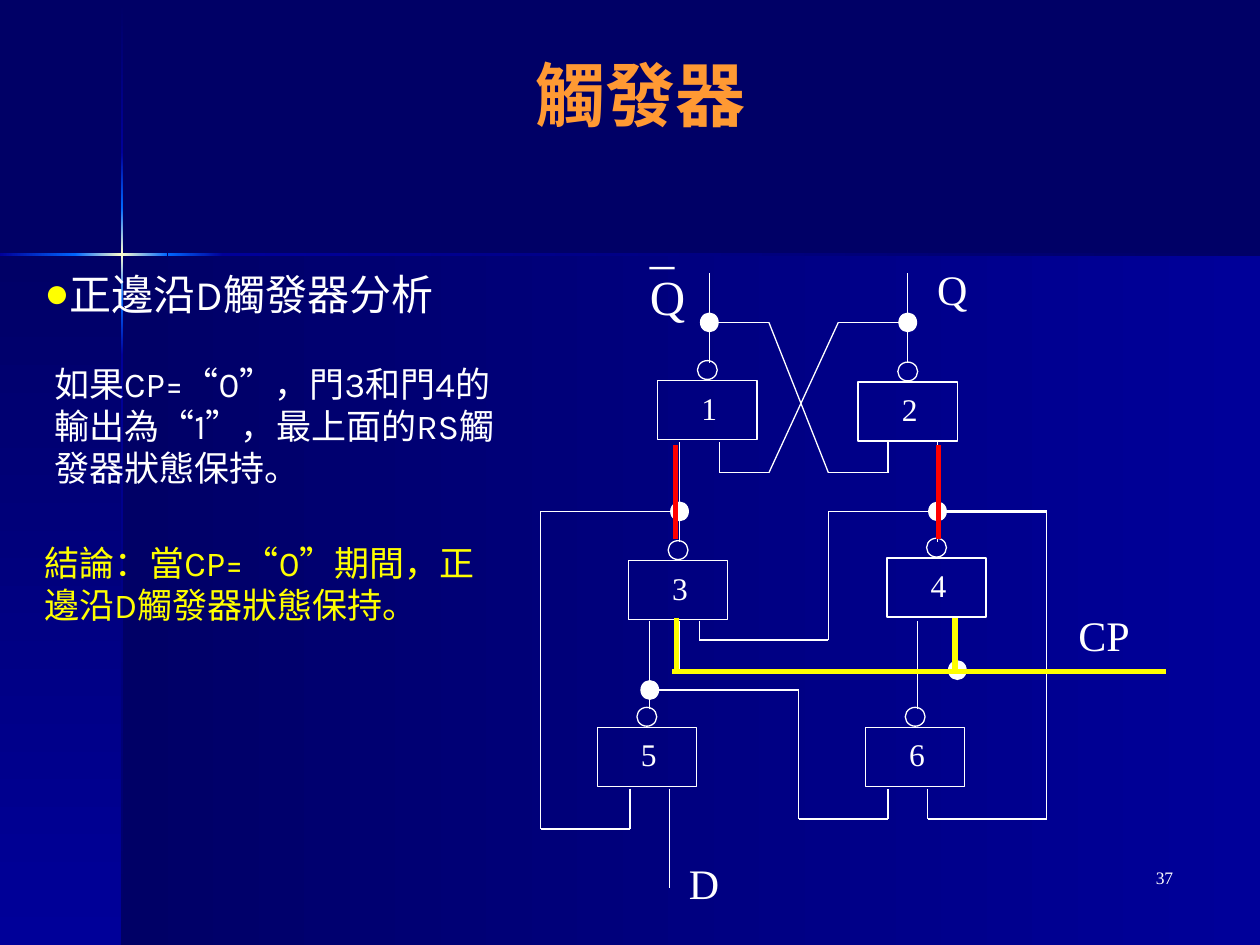
from copy import deepcopy
from itertools import pairwise

from pptx import Presentation
from pptx.dml.color import RGBColor
from pptx.enum.shapes import MSO_CONNECTOR as CONN, MSO_SHAPE as SHAPE
from pptx.enum.text import MSO_ANCHOR as ANCHOR, MSO_AUTO_SIZE as AUTO, PP_ALIGN as ALIGN
from pptx.oxml import parse_xml
from pptx.oxml.ns import nsdecls
from pptx.util import Cm, Pt

SERIF, SANS, QUOTE = "Times New Roman", "Karla", "Arial"
WHITE, YELLOW, RED, ORANGE = "FFFFFF", "FFFF00", "FF0000", "FF9933"
NAVY, BLUE, BRIGHT, CREAM = "000066", "000099", "0066FF", "FFFFCC"
rgb = RGBColor.from_string


def add_run(p, text, size, font, color):
    r = p.add_run()
    r.text = text
    r.font.size, r.font.name = Pt(size), font
    r.font.color.rgb = rgb(color)
    return r


def add_box(x, y, w, h, wrap=True):
    tf = s.shapes.add_textbox(Cm(x), Cm(y), Cm(w), Cm(h)).text_frame
    tf.word_wrap = wrap
    return tf


prs = Presentation()
prs.slide_width, prs.slide_height = Cm(25.4), Cm(19.05)
s = prs.slides.add_slide(prs.slide_layouts[1])
s.background.fill.solid()
s.background.fill.fore_color.rgb = rgb(NAVY)

bands = [
    (2.46, 5.13, 22.94, 13.92, 0, [NAVY, BLUE]),
    (0, 5.13, 2.46, 13.92, 270, [NAVY, BLUE]),
    (2.44, 0.03, 0.05, 3.07, 270, [NAVY, BLUE]),
    (2.44, 7.16, 0.05, 11.89, 270, [BLUE, NAVY]),
    (4.5, 5.11, 20.9, 0.05, 0, [BLUE, NAVY]),
    (2.44, 6.05, 0.05, 1.12, 270, [BRIGHT, BLUE]),
    (2.44, 3.07, 0.05, 1.12, 270, [BLUE, BRIGHT]),
    (2.44, 4.19, 0.05, 1.85, 270, [BRIGHT, CREAM, BRIGHT]),
    (0, 5.11, 1.55, 0.05, 0, [BLUE, BRIGHT]),
    (3.38, 5.11, 1.12, 0.05, 0, [BRIGHT, BLUE]),
    (1.52, 5.11, 1.85, 0.05, 0, [BRIGHT, CREAM, BRIGHT]),
]
for x, y, w, h, angle, colors in bands:
    sp = s.shapes.add_shape(SHAPE.RECTANGLE, Cm(x), Cm(y), Cm(w), Cm(h))
    sp.shadow.inherit = False
    sp.line.fill.background()
    sp.fill.gradient()
    sp.fill.gradient_angle = angle
    if len(colors) == 3:
        stops = sp.element.xpath(".//a:gsLst")[0]
        stops.append(deepcopy(stops[-1]))
    for i, stop in enumerate(sp.fill.gradient_stops):
        stop.position = i / (len(colors) - 1)
        stop.color.rgb = rgb(colors[i])

thin = [
    [(14.3, 7.32), (14.3, 5.51)],
    [(18.3, 7.32), (18.3, 5.51)],
    [(14.3, 6.5), (15.5, 6.5), (16.7, 9.53), (17.9, 9.53), (17.9, 8.92)],
    [(18.3, 6.5), (16.9, 6.5), (15.5, 9.53), (14.5, 9.53), (14.5, 8.92)],
    [(13.7, 10.92), (13.7, 8.92)],
    [(18.9, 10.92), (18.9, 8.92)],
    [(18.5, 14.3), (18.5, 12.52)],
    [(13.1, 14.3), (13.1, 12.52)],
    [(13.1, 13.91), (16.1, 13.91), (16.1, 16.51), (17.9, 16.51), (17.9, 15.9)],
    [(13.5, 15.9), (13.5, 17.9)],
    [(13.7, 12.52), (13.7, 13.51), (23.5, 13.51)],
    [(19.3, 12.52), (19.3, 13.51)],
    [(18.7, 15.9), (18.7, 16.51), (21.1, 16.51), (21.1, 10.31)],
    [(18.9, 10.31), (16.7, 10.31), (16.7, 12.9), (14.1, 12.9), (14.1, 12.52)],
    [(12.7, 15.9), (12.7, 16.71), (10.9, 16.71), (10.9, 10.31), (13.7, 10.31)],
]
clock = [
    [(23.5, 13.54), (13.54, 13.54)],
    [(13.64, 13.54), (13.64, 12.45)],
    [(19.25, 13.54), (19.25, 12.45)],
]
outputs = [[(x, 10.87), (x, 8.97)] for x in (13.61, 18.92)]
dots = [(14.3, 6.5), (18.3, 6.5), (13.7, 10.31), (18.9, 10.31), (13.1, 13.91), (19.3, 13.51)]
gates = [(13.26, 7.67), (17.3, 7.7), (12.67, 11.3), (17.88, 11.25), (12.04, 14.66), (17.45, 14.66)]

for x, y in dots:
    sp = s.shapes.add_shape(SHAPE.OVAL, Cm(x - 0.19), Cm(y - 0.2), Cm(0.38), Cm(0.4))
    sp.shadow.inherit = False
    sp.fill.solid()
    sp.fill.fore_color.rgb = rgb(WHITE)
    sp.line.fill.background()

for n, (x, y) in enumerate(gates, 1):
    for shape, left, top, w, h in [(SHAPE.RECTANGLE, x, y, 2, 1.19),
                                   (SHAPE.OVAL, x + 0.8, y - 0.4, 0.4, 0.38)]:
        sp = s.shapes.add_shape(shape, Cm(left), Cm(top), Cm(w), Cm(h))
        sp.shadow.inherit = False
        sp.fill.background()
        sp.line.color.rgb = rgb(WHITE)
        sp.line.width = Pt(0.75)
    tf = add_box(x + 0.63, y + 0.04, 0.76, 1.02)
    add_run(tf.paragraphs[0], str(n), 18, SERIF, WHITE)

wires = [(thin, WHITE, 0.75), ([[(18.9, 10.31), (21.1, 10.31)]], WHITE, 1.5),
         (clock, YELLOW, 3), (outputs, RED, 3)]
for routes, color, width in wires:
    for route in routes:
        for (x1, y1), (x2, y2) in pairwise(route):
            c = s.shapes.add_connector(CONN.STRAIGHT, Cm(x1), Cm(y1), Cm(x2), Cm(y2))
            c.line.color.rgb = rgb(color)
            c.line.width = Pt(width)
            c.element.spPr.append(parse_xml(f"<a:effectLst {nsdecls('a')}/>"))

for text, x, y, w in [("CP", 21.49, 12.17, 1.55), ("D", 13.64, 17.17, 1.12), ("Q", 18.64, 5.18, 1.12)]:
    add_run(add_box(x, y, w, 1.27, False).paragraphs[0], text, 24, SERIF, WHITE)

tf = add_box(12.85, 4.32, 1.7, 2.39)
for p, text in [(tf.paragraphs[0], "_"), (tf.add_paragraph(), "Q")]:
    p.line_spacing = Pt(30)
    add_run(p, text, 28, SERIF, WHITE)

p = add_box(18.62, 17.35, 5.28, 1.27).paragraphs[0]
p.alignment = ALIGN.RIGHT
add_run(p, "37", 10, SERIF, WHITE)

title, body = s.shapes.title, s.placeholders[1]
for sp, x, y, w, h in [(title, 1.27, 0.84, 23.29, 2.11), (body, 0.64, 5.28, 10.16, 11.43)]:
    sp.left, sp.top, sp.width, sp.height = Cm(x), Cm(y), Cm(w), Cm(h)
    sp.text_frame.auto_size = AUTO.NONE
    sp.element.getparent().append(sp.element)

title.text_frame.vertical_anchor = ANCHOR.MIDDLE
p = title.text_frame.paragraphs[0]
p.alignment = ALIGN.CENTER
add_run(p, "觸發器", 40, SANS, ORANGE).font.bold = True

p = body.text_frame.paragraphs[0]
p.space_before = Pt(0)
pPr = p._p.get_or_add_pPr()
pPr.set("marL", str(Cm(0.5)))
pPr.set("indent", str(-Cm(0.5)))
pPr.append(parse_xml(f'<a:buClr {nsdecls("a")}><a:srgbClr val="{YELLOW}"/></a:buClr>'))
pPr.append(parse_xml(f'<a:buChar {nsdecls("a")} char="●"/>'))
add_run(p, "正邊沿D觸發器分析", 24, SANS, WHITE)

p = add_box(0.64, 10.8, 9.47, 1.96).paragraphs[0]
add_run(p, "結論：當CP=“0”期間，正邊沿D觸發器狀態保持。", 20, SANS, YELLOW)

p = add_box(0.84, 7.19, 9.53, 2.82).paragraphs[0]
for text in ["如果CP=", "“", "0", "”", "，門3和門4的輸出為", "“", "1", "”", "，最上面的RS觸發器狀態保持。"]:
    add_run(p, text, 20, QUOTE if text in "“”" else SANS, WHITE)

prs.save("out.pptx")
